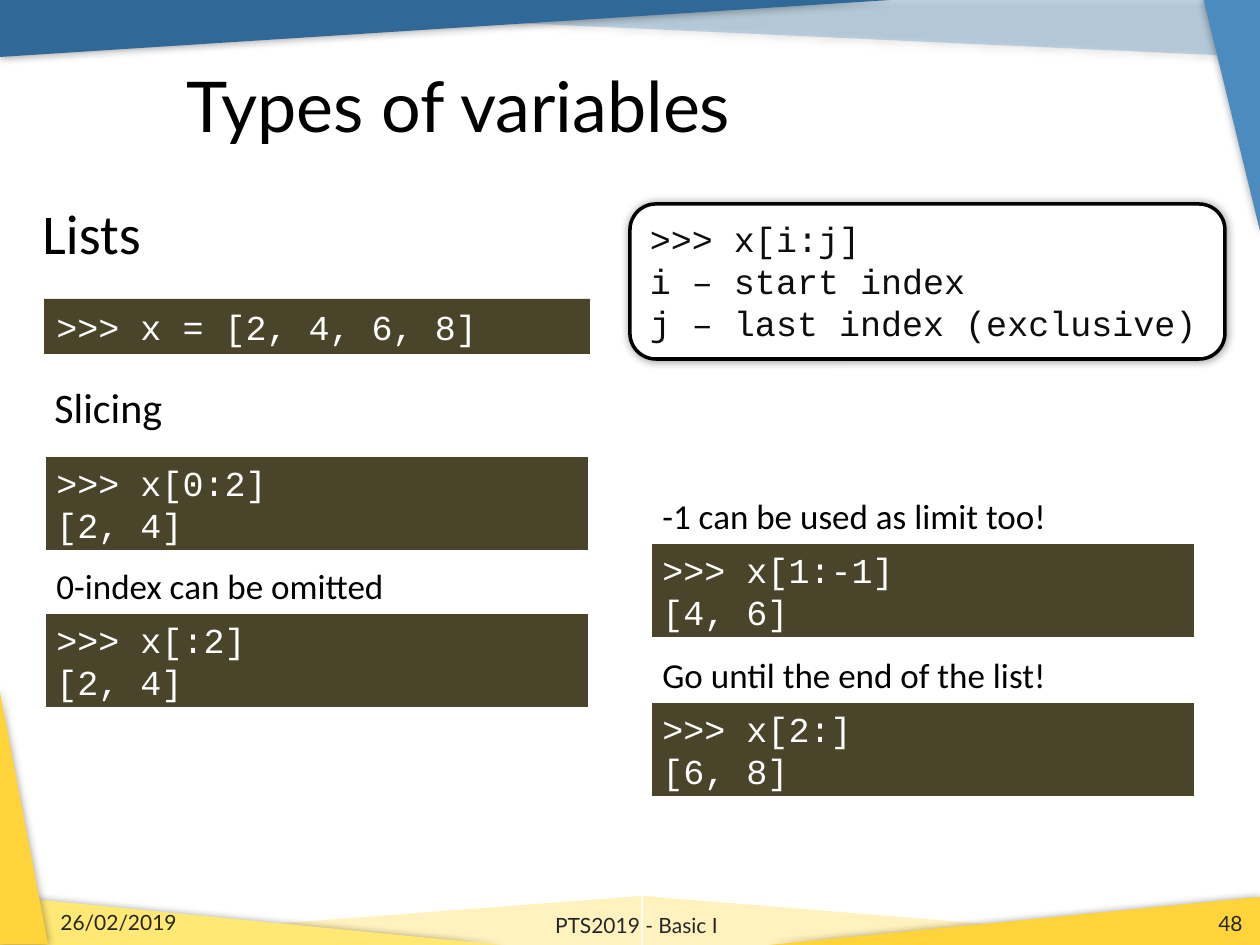
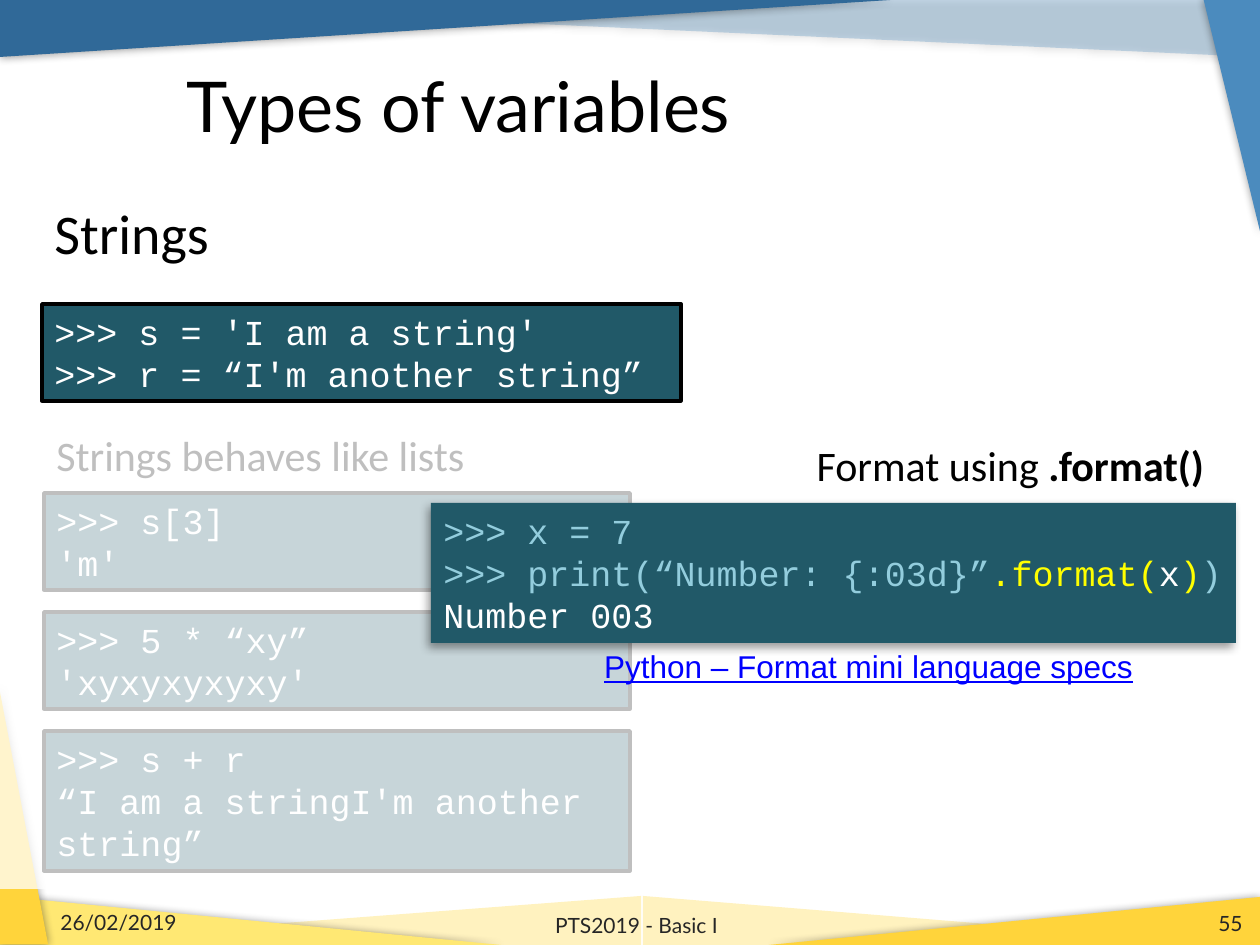
from lxml import etree
from pptx import Presentation
from pptx import util as u
from pptx.dml.color import RGBColor
from pptx.enum import shapes, text
from pptx.oxml.ns import qn

PX = 914400 / 126

BLACK = RGBColor(0x00, 0x00, 0x00)
WHITE = RGBColor(0xFF, 0xFF, 0xFF)
INK = RGBColor(0x0D, 0x0D, 0x0D)
GREY = RGBColor(0x26, 0x26, 0x26)
BLUE = RGBColor(0x4B, 0x8B, 0xBE)
DARK_BLUE = RGBColor(0x30, 0x69, 0x98)
GOLD = RGBColor(0xFF, 0xD4, 0x3B)
YELLOW = RGBColor(0xFF, 0xE8, 0x73)
CREAM = RGBColor(0xFF, 0xF2, 0xBF)
OLIVE = RGBColor(0x4A, 0x45, 0x2A)
TEAL = RGBColor(0x21, 0x59, 0x68)
PALE_TEAL = RGBColor(0x93, 0xCD, 0xDD)
BRIGHT = RGBColor(0xFF, 0xFF, 0x00)
LINK = RGBColor(0x00, 0x00, 0xFF)

HEAD, BODY, CODE, PLAIN = "Lato", "Calibri", "Courier New", "Arial"
LEFT, CENTER, RIGHT = text.PP_ALIGN.LEFT, text.PP_ALIGN.CENTER, text.PP_ALIGN.RIGHT
TOP, MIDDLE = text.MSO_ANCHOR.TOP, text.MSO_ANCHOR.MIDDLE
RECT = shapes.MSO_SHAPE.RECTANGLE
ROUND = shapes.MSO_SHAPE.ROUNDED_RECTANGLE
TRIANGLE = shapes.MSO_SHAPE.ISOSCELES_TRIANGLE

# box, colour, flips, rotation, opacity, has shadow
BANDS = [
    ((16, 0, 1241, 57), BLUE, "H", 180, 30, True),
    ((643, 896, 602, 49), CREAM, "H", 0, 100, False),
    ((-5, 896, 646, 49), CREAM, "", 0, 100, False),
    ((0, 896, 501, 49), YELLOW, "H", 0, 100, True),
    ((769, 897, 491, 48), GOLD, "", 0, 100, True),
    ((0, 0, 891, 57), DARK_BLUE, "HV", 0, 100, True),
    ((1115, 88, 234, 57), BLUE, "HV", 90, 100, True),
    ((-105, 791, 257, 49), GOLD, "", 90, 100, True),
]


def emu(box):
    return [u.Emu(round(v * PX)) for v in box]


class Deck:
    def __init__(self):
        self.prs = Presentation()
        self.prs.slide_width, self.prs.slide_height = emu((1260, 945))
        self.s = None

    def slide(self, title):
        self.s = self.prs.slides.add_slide(self.prs.slide_layouts[6])
        for box, colour, flips, rotation, opacity, shadow in BANDS:
            sp = self.shape(TRIANGLE, box, colour, opacity=opacity,
                            shadow=(0, 0) if shadow else None)
            sp.adjustments[0] = 1
            sp.rotation = rotation
            for axis in flips:
                sp._element.spPr.find(qn("a:xfrm")).set("flip" + axis, "1")
        self.label((174, 55, 1023, 100), [title], 40, HEAD, anchor=MIDDLE)

    def footer(self, number):
        for box, words, align in [
            ((48, 908, 294, 29), "26/02/2019", LEFT),
            ((437, 900, 399, 50), "PTS2019 - Basic I", CENTER),
            ((961, 908, 294, 30), str(number), RIGHT),
        ]:
            self.label(box, [words], 12, HEAD, GREY, align, MIDDLE)

    def shape(self, kind, box, fill, line=None, opacity=100, shadow=None):
        """Draw a preset shape; shadow is (distance in points, angle)."""
        sp = self.s.shapes.add_shape(kind, *emu(box))
        sp.shadow.inherit = False
        sp.fill.solid()
        sp.fill.fore_color.rgb = fill
        if opacity < 100:
            colour = sp._element.spPr.find(qn("a:solidFill"))[0]
            etree.SubElement(colour, qn("a:alpha"), val=str(opacity * 1000))
        if line is None:
            sp.line.fill.background()
        else:
            sp.line.color.rgb = line
            sp.line.width = u.Pt(2)
        if shadow:
            distance, angle = shadow
            effects = sp._element.spPr.find(qn("a:effectLst"))
            outer = etree.SubElement(effects, qn("a:outerShdw"), blurRad=str(u.Pt(5)),
                                     dist=str(u.Pt(distance)), dir=str(angle * 60000))
            black = etree.SubElement(outer, qn("a:srgbClr"), val=str(BLACK))
            etree.SubElement(black, qn("a:alpha"), val="40000")
        return sp

    def add_text(self, sp, lines, size, font, colour, align=LEFT, anchor=TOP):
        """Fill sp with lines; a line is a string or a list of (text, font overrides)."""
        tf = sp.text_frame
        tf.word_wrap = True
        tf.vertical_anchor = anchor
        for i, line in enumerate(lines):
            p = tf.add_paragraph() if i else tf.paragraphs[0]
            p.alignment = align
            for words, style in [(line, {})] if isinstance(line, str) else line:
                r = p.add_run()
                r.text = words
                r.font.name = font
                r.font.size = u.Pt(size)
                r.font.color.rgb = style.get("colour", colour)
                r.font.bold = style.get("bold", False)
                r.font.underline = style.get("underline", False)

    def label(self, box, lines, size, font=BODY, colour=BLACK, align=LEFT, anchor=TOP):
        sp = self.s.shapes.add_textbox(*emu(box))
        self.add_text(sp, lines, size, font, colour, align, anchor)

    def code(self, box, lines, fill, line=None, colour=WHITE, kind=RECT, shadow=None):
        sp = self.shape(kind, box, fill, line, shadow=shadow)
        self.add_text(sp, lines, 20, CODE, colour)


def lists_slide(deck):
    deck.slide("Types of variables")
    deck.label((30, 192, 307, 63), ["Lists"], 32)
    deck.label((42, 375, 639, 63), ["Slicing"], 24)
    deck.code((44, 299, 546, 55), [">>> x = [2, 4, 6, 8]"], OLIVE)
    for x, y, caption, lines in [
        (44, 455, None, [">>> x[0:2]", "[2, 4]"]),
        (44, 612, "0-index can be omitted", [">>> x[:2]", "[2, 4]"]),
        (650, 542, "-1 can be used as limit too!", [">>> x[1:-1]", "[4, 6]"]),
        (650, 701, "Go until the end of the list!", [">>> x[2:]", "[6, 8]"]),
    ]:
        deck.code((x, y, 546, 97), lines, OLIVE, WHITE)
        if caption:
            deck.label((x, y - 54, 600, 55), [caption], 20)
    deck.code((630, 204, 595, 155),
              [">>> x[i:j]", "i – start index", "j – last index (exclusive)"],
              WHITE, BLACK, INK, ROUND, (0, 0))
    deck.footer(48)


def strings_slide(deck):
    deck.slide("Types of variables")
    deck.code((42, 304, 639, 97),
              [">>> s = 'I am a string'", ">>> r = “I'm another string”"], TEAL, BLACK)
    deck.label((42, 192, 307, 63), ["Strings"], 32)

    deck.label((44, 423, 638, 63), ["Strings behaves like lists"], 24)
    y = 493
    for height, lines in [
        (97, [">>> s[3]", "'m'"]),
        (97, [">>> 5 * “xy”", "'xyxyxyxyxy'"]),
        (140, [">>> s + r", "“I am a stringI'm another string”"]),
    ]:
        deck.code((44, y, 586, height), lines, TEAL, BLACK)
        y += height + 22
    deck.shape(RECT, (0, 423, 779, 466), WHITE, opacity=75)  # fades the examples above

    deck.label((501, 433, 725, 63), [[("Format using ", {}), (".format() ", {"bold": True})]],
               24, align=RIGHT)
    bright, white = {"colour": BRIGHT}, {"colour": WHITE}
    deck.code((431, 503, 805, 140), [
        ">>> x = 7",
        [(">>> print(“Number: {:03d}”", {}), (".format(", bright), ("x", white),
         (")", bright), (")", {})],
        [("Number 003", white)],
    ], TEAL, colour=PALE_TEAL, shadow=(3, 135))
    deck.label((501, 641, 735, 50),
               [[("Python – Format mini language specs", {"underline": True})]],
               18, PLAIN, LINK, CENTER)
    deck.footer(55)


def main():
    deck = Deck()
    lists_slide(deck)
    strings_slide(deck)
    deck.prs.save("out.pptx")


if __name__ == "__main__":
    main()
